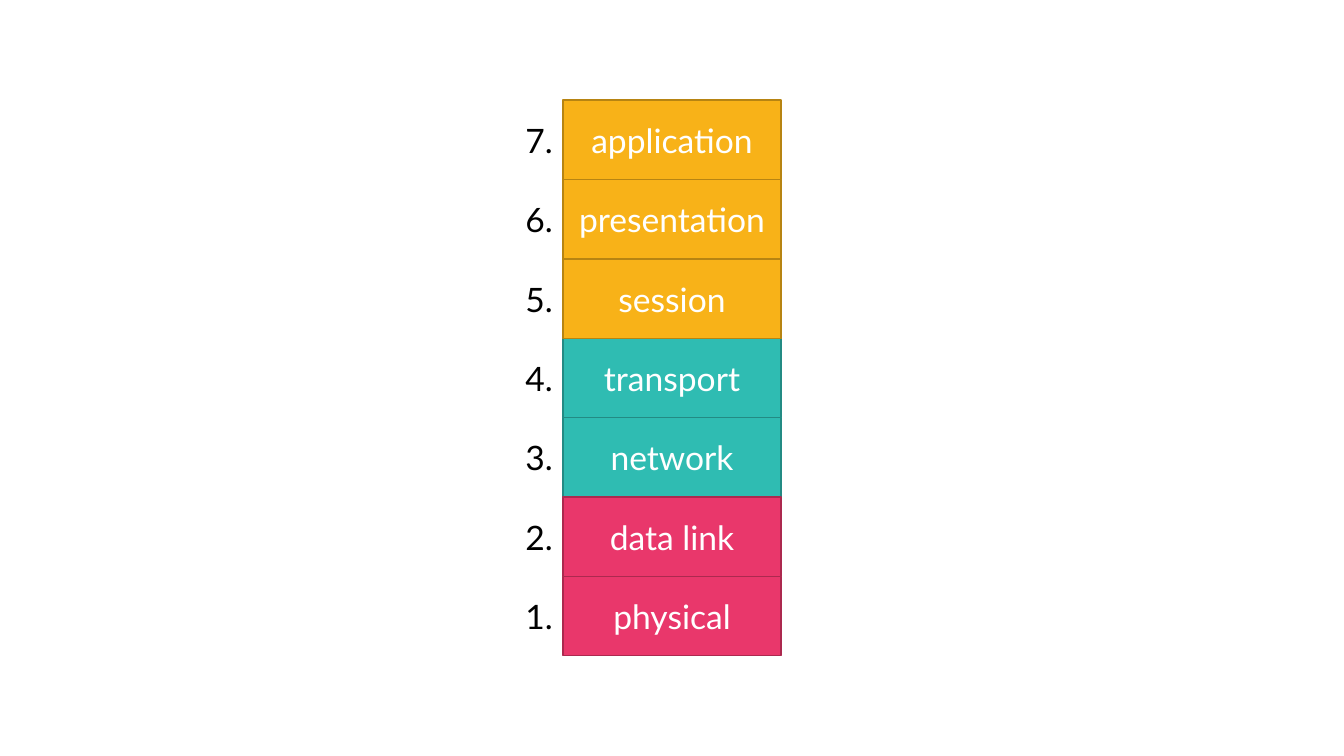
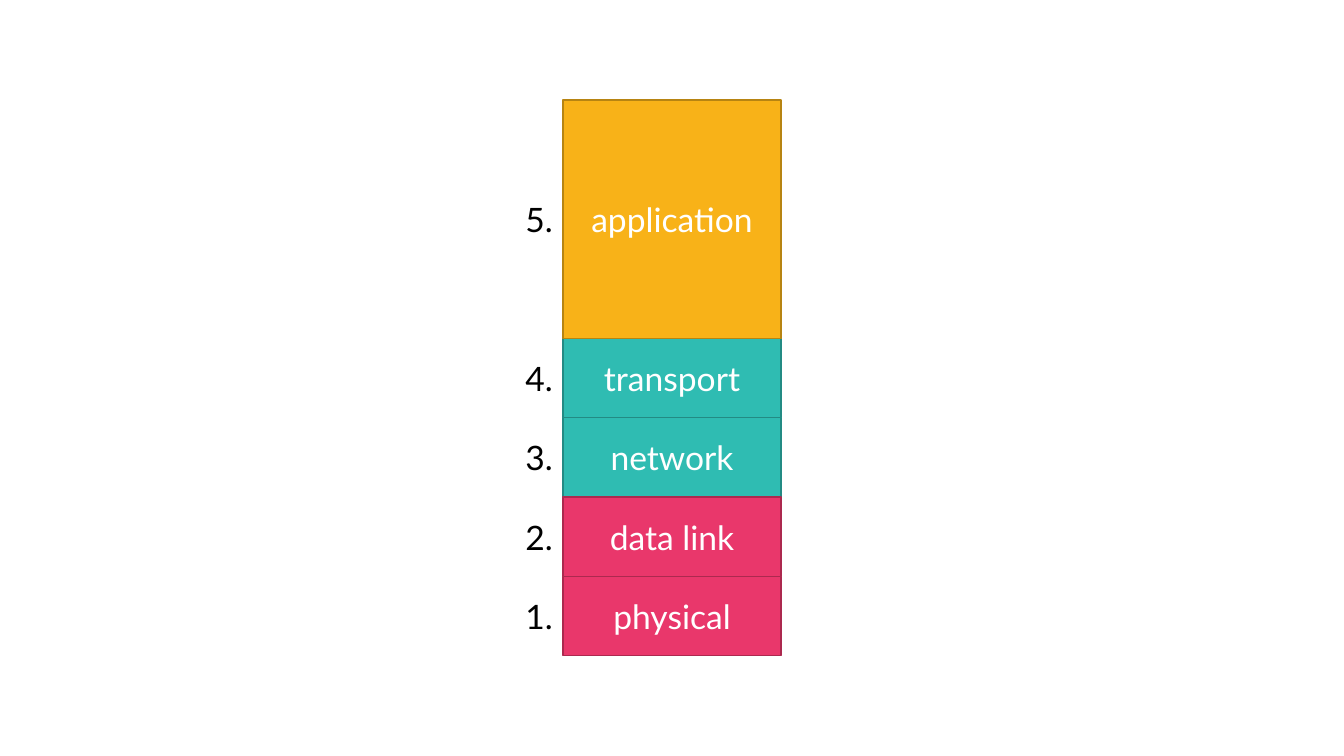
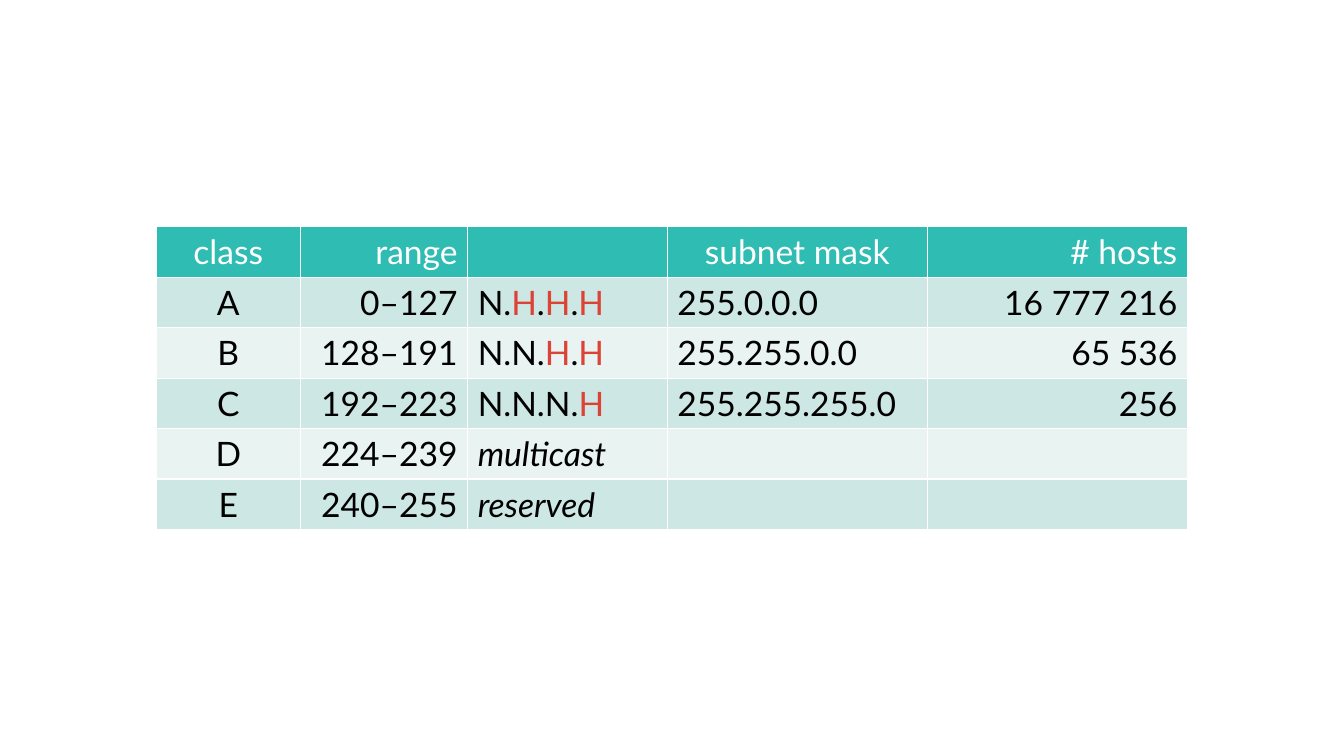
import pptx
import pptx.dml.color
import pptx.enum.shapes
import pptx.enum.text
import pptx.util

Pt = pptx.util.Pt
RGBColor = pptx.dml.color.RGBColor
Align = pptx.enum.text.PP_ALIGN
Anchor = pptx.enum.text.MSO_ANCHOR

WHITE = RGBColor(0xFF, 0xFF, 0xFF)
BLACK = RGBColor(0x00, 0x00, 0x00)
TEAL = RGBColor(0x2F, 0xBC, 0xB2)
TEAL_EDGE = RGBColor(0x23, 0x8B, 0x84)
PINK = RGBColor(0xE9, 0x37, 0x6B)
PINK_EDGE = RGBColor(0xAC, 0x29, 0x4F)
AMBER = RGBColor(0xF8, 0xB2, 0x18)
AMBER_EDGE = RGBColor(0xB7, 0x84, 0x12)
HOST_RED = RGBColor(0xDC, 0x42, 0x35)
BANDS = (RGBColor(0xCD, 0xE7, 0xE4), RGBColor(0xE8, 0xF3, 0xF2))

PAGE_WIDTH, PAGE_HEIGHT = 960, 540
FONT = {"name": "Lato", "size": Pt(24), "bold": False}

LAYER_HEIGHT, LAYER_WIDTH, LEVELS = 56.7, 156, 7
STACK_BOX = (
    (PAGE_WIDTH - LAYER_WIDTH) / 2,
    (PAGE_HEIGHT - LEVELS * LAYER_HEIGHT) / 2,
    LAYER_WIDTH,
    LEVELS * LAYER_HEIGHT,
)

LOWER_LAYERS = [
    (4, 1, "transport", TEAL, TEAL_EDGE),
    (3, 1, "network", TEAL, TEAL_EDGE),
    (2, 1, "data link", PINK, PINK_EDGE),
    (1, 1, "physical", PINK, PINK_EDGE),
]
OSI_LAYERS = LOWER_LAYERS + [
    (5, 1, "session", AMBER, AMBER_EDGE),
    (6, 1, "presentation", AMBER, AMBER_EDGE),
    (7, 1, "application", AMBER, AMBER_EDGE),
]
INTERNET_LAYERS = LOWER_LAYERS + [(5, 3, "application", AMBER, AMBER_EDGE)]

TABLE_BOX = (111.6, 162, 737.4, 216)
COLUMN_WIDTHS = (102.96, 119.52, 142.56, 185.76, 185.76)
COLUMN_ALIGNS = (Align.CENTER, Align.RIGHT, Align.LEFT, Align.LEFT, Align.RIGHT)
HEADER_ALIGNS = (Align.CENTER, Align.RIGHT, Align.LEFT, Align.CENTER, Align.RIGHT)
ADDRESS_COLUMN = 2
HEADER = ("class", "range", "", "subnet mask", "# hosts")
CLASSES = (
    ("A", "0–127", "N.H.H.H", "255.0.0.0", "16 777 216"),
    ("B", "128–191", "N.N.H.H", "255.255.0.0", "65 536"),
    ("C", "192–223", "N.N.N.H", "255.255.255.0", "256"),
    ("D", "224–239", "multicast", "", ""),
    ("E", "240–255", "reserved", "", ""),
)


def add_span(para, text, color, **extra):
    span = para.add_run()
    span.text = text
    for name, value in {**FONT, **extra}.items():
        setattr(span.font, name, value)
    span.font.color.rgb = color


def write_line(frame, text, color, align):
    for name, value in {"word_wrap": True, "vertical_anchor": Anchor.MIDDLE}.items():
        setattr(frame, name, value)
    para = frame.paragraphs[0]
    para.alignment = align
    add_span(para, text, color)


def add_layer(page, box, text, fill, edge):
    layer = page.shapes.add_shape(
        pptx.enum.shapes.MSO_SHAPE.RECTANGLE, *map(Pt, box))
    layer.shadow.inherit = False
    layer.fill.solid()
    layer.fill.fore_color.rgb = fill
    layer.line.color.rgb = edge
    layer.line.width = Pt(1)
    write_line(layer.text_frame, text, WHITE, Align.CENTER)


def add_stack(page, box, layers):
    left, top, width, height = box
    unit = height / LEVELS
    places = []
    for level, levels_high, text, fill, edge in layers:
        layer_height = levels_high * unit
        layer_top = top + height - (level - 1) * unit - layer_height
        add_layer(page, (left, layer_top, width, layer_height), text, fill, edge)
        places.append((level, layer_top, layer_height))
    for level, layer_top, layer_height in sorted(places, reverse=True):
        label = page.shapes.add_textbox(
            *map(Pt, (left - unit, layer_top, unit, layer_height)))
        write_line(label.text_frame, f"{level}.", BLACK, Align.RIGHT)


def write_address(para, text):
    if "." not in text:
        add_span(para, text, BLACK, italic=True)
        return
    network, host, rest = text.partition("H")
    add_span(para, network, BLACK)
    for mark in host + rest:
        add_span(para, mark, HOST_RED if mark == "H" else BLACK)


def add_class_table(page, box):
    rows = (HEADER, *CLASSES)
    table = page.shapes.add_table(
        len(rows), len(HEADER), *map(Pt, box)).table
    for column, width in zip(table.columns, COLUMN_WIDTHS):
        column.width = Pt(width)
    for row_index, texts in enumerate(rows):
        is_header = row_index == 0
        aligns = HEADER_ALIGNS if is_header else COLUMN_ALIGNS
        for column_index, text in enumerate(texts):
            cell = table.cell(row_index, column_index)
            cell.fill.solid()
            cell.fill.fore_color.rgb = TEAL if is_header else BANDS[(row_index - 1) % 2]
            if not text:
                continue
            para = cell.text_frame.paragraphs[0]
            para.alignment = aligns[column_index]
            if column_index == ADDRESS_COLUMN:
                write_address(para, text)
            else:
                add_span(para, text, WHITE if is_header else BLACK)


def main():
    deck = pptx.Presentation()
    deck.slide_width, deck.slide_height = Pt(PAGE_WIDTH), Pt(PAGE_HEIGHT)
    blank = deck.slide_layouts[6]
    for layers in (OSI_LAYERS, INTERNET_LAYERS):
        add_stack(deck.slides.add_slide(blank), STACK_BOX, layers)
    add_class_table(deck.slides.add_slide(blank), TABLE_BOX)
    deck.save("out.pptx")


if __name__ == "__main__":
    main()
